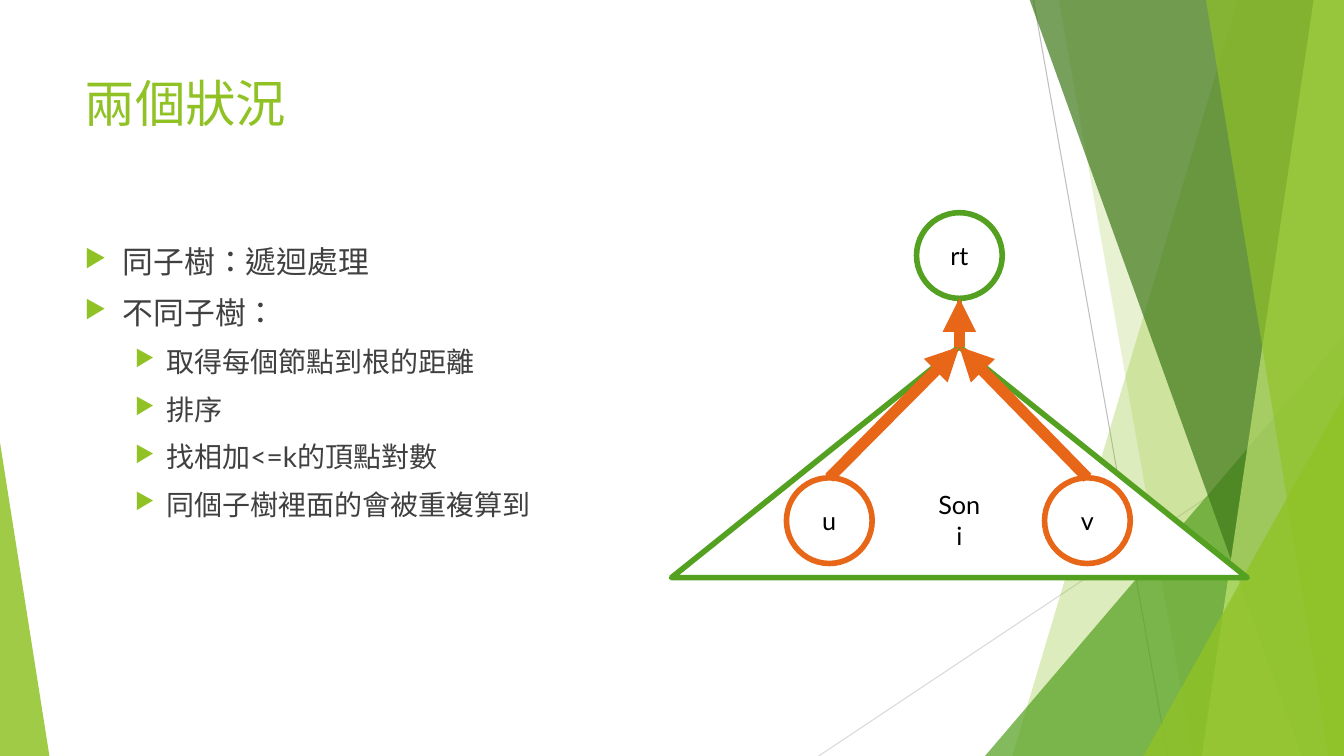
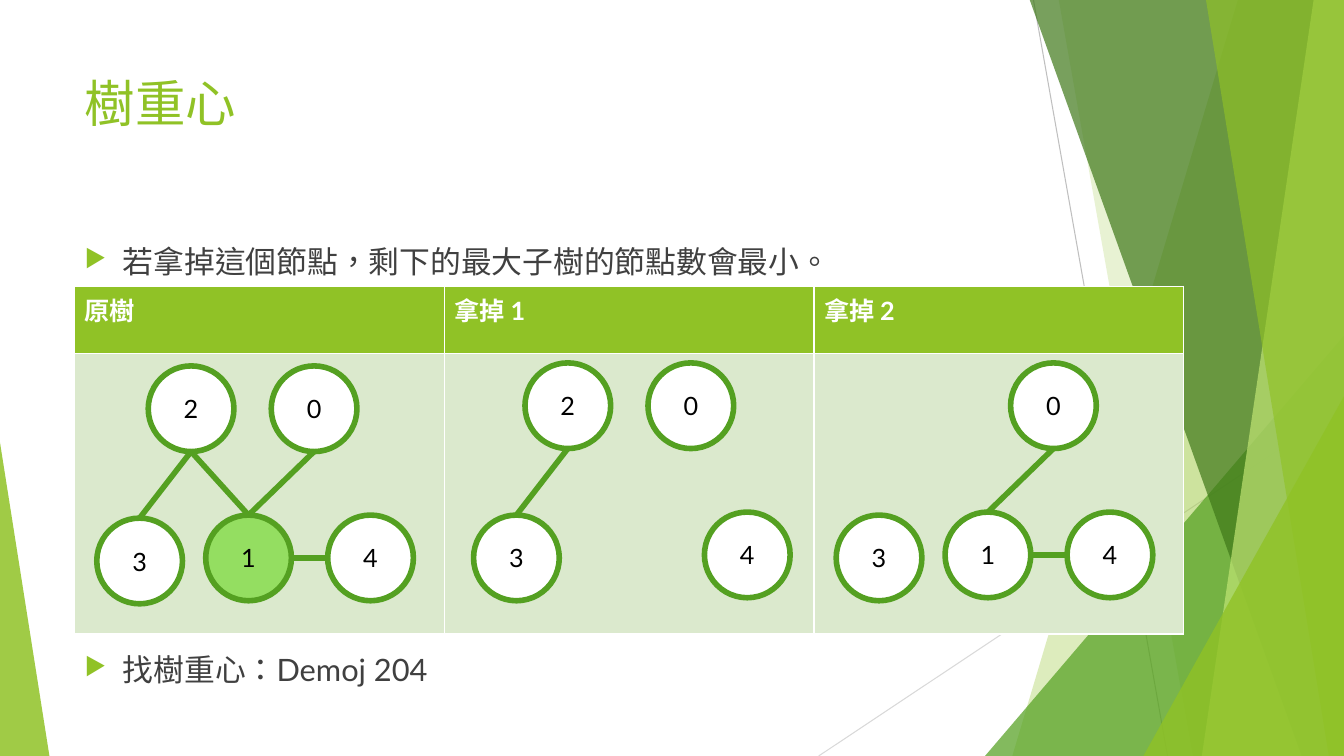
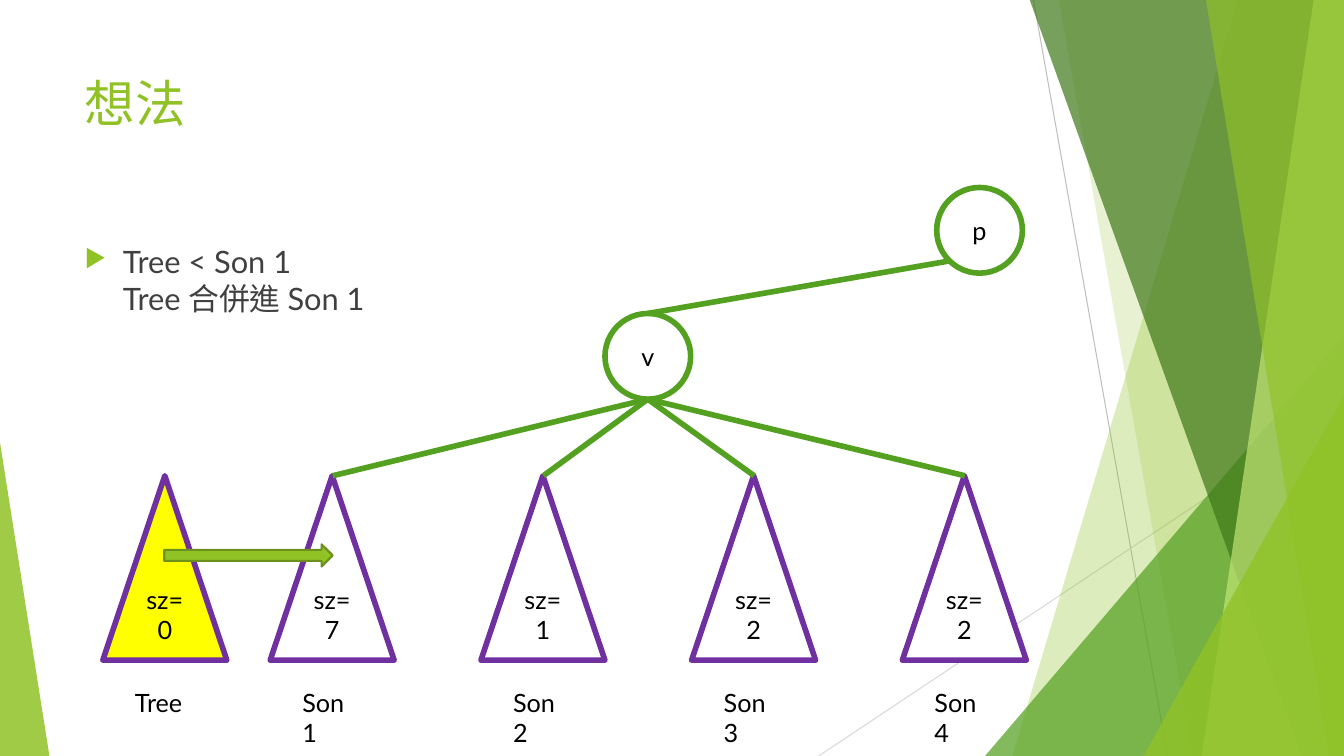
from pptx import Presentation
from pptx.dml.color import RGBColor as RGB
from pptx.enum.lang import MSO_LANGUAGE_ID as LANG
from pptx.enum.shapes import MSO_CONNECTOR as LINK, MSO_SHAPE as SHAPE
from pptx.enum.text import MSO_ANCHOR as ANCHOR, PP_ALIGN as ALIGN
from pptx.oxml.ns import qn
from pptx.util import Inches, Pt
from lxml.etree import SubElement

LIME = RGB(0x90, 0xC2, 0x26)
GREEN = RGB(0x54, 0xA0, 0x21)
DARK = RGB(0x3F, 0x78, 0x19)
PALE = RGB(0xC0, 0xE4, 0x74)
OLIVE = RGB(0x6B, 0x90, 0x1C)
LIGHT = RGB(0x94, 0xDE, 0x61)
TINT = RGB(0xDB, 0xE9, 0xCD)
ORANGE = RGB(0xE7, 0x66, 0x18)
PURPLE = RGB(0x70, 0x30, 0xA0)
YELLOW = RGB(0xFF, 0xFF, 0x00)
WHITE = RGB(0xFF, 0xFF, 0xFF)
BLACK = RGB(0, 0, 0)
GREY = RGB(0x40, 0x40, 0x40)
SILVER = RGB(0xBF, 0xBF, 0xBF)
MIST = RGB(0xD9, 0xD9, 0xD9)

FONT = "Lato"
WIDE, HIGH = 13.33, 7.5
LEFT = 0.74
SIZE = 0.85


def style(para, size, color, bold=False):
    for run in para.runs:
        font = run.font
        font.name, font.size, font.bold = FONT, Pt(size), bold
        font.color.rgb = color
        font.language_id = LANG.TRADITIONAL_CHINESE


def paint(shape, fill, line=None, width=4, alpha=100):
    shape.shadow.inherit = False
    shape.fill.solid()
    shape.fill.fore_color.rgb = fill
    if alpha < 100:
        color = shape.element.spPr.find(qn("a:solidFill"))[0]
        SubElement(color, qn("a:alpha"), val=str(alpha * 1000))
    if line is None:
        shape.line.fill.background()
    else:
        shape.line.color.rgb = line
        shape.line.width = Pt(width)


def form(slide, kind, box, fill, line=None, text="", width=4, alpha=100):
    shape = slide.shapes.add_shape(kind, *map(Inches, box))
    paint(shape, fill, line, width, alpha)
    if text:
        shape.text_frame.text = text
        for para in shape.text_frame.paragraphs:
            para.alignment = ALIGN.CENTER
            style(para, 18, BLACK)
    return shape


def node(slide, x, y, text, line=GREEN, fill=WHITE):
    form(slide, SHAPE.OVAL, (x, y, SIZE, SIZE), fill, line, text)


def join(slide, start, end, color=GREEN, width=4, arrow=False):
    link = slide.shapes.add_connector(LINK.STRAIGHT, *map(Inches, start + end))
    link.line.color.rgb = color
    link.line.width = Pt(width)
    if arrow:
        SubElement(link.line._get_or_add_ln(), qn("a:tailEnd"), type="triangle")
    SubElement(link.element.spPr, qn("a:effectLst"))
    return link


def top(x, y):
    return x + SIZE / 2, y


def base(x, y):
    return x + SIZE / 2, y + SIZE


def band(slide, head, foot, color, alpha):
    pen = slide.shapes.build_freeform(Inches(head), Inches(-0.01))
    spots = [(WIDE, -0.01), (WIDE, HIGH), (foot, HIGH)]
    pen.add_line_segments([(Inches(x), Inches(y)) for x, y in spots])
    shape = pen.convert_to_shape()
    paint(shape, color, alpha=alpha)
    return shape


def wedge(slide, x, y, width, tip, color, alpha):
    box = (x, y, width, HIGH - y)
    shape = form(slide, SHAPE.ISOSCELES_TRIANGLE, box, color, alpha=alpha)
    shape.adjustments[0] = tip
    return shape


def backdrop(slide, layout):
    parts = [
        join(slide, (10.25, 0), (11.58, HIGH), SILVER, 0.75),
        join(slide, (WIDE, 4.03), (8.12, HIGH), MIST, 0.75),
        band(slide, 12.28, 10.04, LIME, 30),
        band(slide, 10.5, 11.83, LIME, 20),
        wedge(slide, 9.77, 3.33, 3.56, 1, GREEN, 72),
        band(slide, 10.21, 12.91, DARK, 70),
        band(slide, 13.03, 11.92, PALE, 70),
        band(slide, 11.96, 13.18, LIME, 65),
        wedge(slide, 11.34, 3.93, 1.99, 1, LIME, 80),
        wedge(slide, 0, 4.39, 0.49, 0, LIME, 85),
    ]
    for part in parts:
        layout.shapes.element.append(part.element)


def heading(slide, text):
    title = slide.shapes.title
    title.left, title.top = Inches(LEFT), Inches(0.67)
    title.width, title.height = Inches(9.4), Inches(1.44)
    frame = title.text_frame
    frame.text = text
    frame.vertical_anchor = ANCHOR.TOP
    frame.paragraphs[0].alignment = ALIGN.LEFT
    style(frame.paragraphs[0], 36, LIME)


def body(slide, width, height, items):
    box = slide.shapes.add_textbox(*map(Inches, (LEFT, 2.36, width, height)))
    frame = box.text_frame
    frame.word_wrap = True
    for i, (level, text, gap) in enumerate(items):
        para = frame.add_paragraph() if i else frame.paragraphs[0]
        para.text = text
        para.level = level
        para.space_before = Pt(gap)
        style(para, 20 if level else 22, GREY)
        props = para._p.get_or_add_pPr()
        props.set("marL", str(Inches(0.81 if level else 0.38)))
        props.set("indent", str(-Inches(0.31 if level else 0.38)))
        SubElement(SubElement(props, qn("a:buClr")), qn("a:srgbClr"), val=str(LIME))
        SubElement(props, qn("a:buSzPct"), val="80000")
        SubElement(props, qn("a:buChar"), char="▶")


def label(slide, x, y, width, text):
    box = slide.shapes.add_textbox(*map(Inches, (x, y, width, 0.4)))
    box.text_frame.word_wrap = True
    box.text_frame.text = text
    style(box.text_frame.paragraphs[0], 18, BLACK)


def paths(slide, x, y, width):
    mid = x + width / 2
    root, peak = (mid - SIZE / 2, y), (mid, y + 1.33)
    node(slide, *root, "rt")
    join(slide, base(*root), peak)
    form(slide, SHAPE.ISOSCELES_TRIANGLE, (x, peak[1], width, 2.29), WHITE, GREEN, "Son\ni")
    for text, shift in (("u", -1.29), ("v", 1.27)):
        leaf = (mid + shift - SIZE / 2, y + 2.63)
        node(slide, *leaf, text, ORANGE)
        join(slide, top(*leaf), peak, ORANGE, 8, True)
    join(slide, peak, base(*root), ORANGE, 8, True)


SPOTS = {"2": (0.73, 0.12), "0": (1.95, 0.12), "3": (0.22, 1.63),
         "1": (1.3, 1.6), "4": (2.51, 1.6)}
EDGES = ["23", "21", "01"]


def graph(slide, x, y, keep, mark=""):
    spots = {key: (x + SPOTS[key][0], y + SPOTS[key][1]) for key in keep}
    for key, spot in spots.items():
        node(slide, *spot, key, fill=LIGHT if key == mark else WHITE)
    for a, b in EDGES:
        if a in keep and b in keep:
            join(slide, base(*spots[a]), top(*spots[b]))
    if "1" in keep and "4" in keep:
        (near, level), far = spots["1"], spots["4"][0]
        mid = level + SIZE / 2
        join(slide, (near + SIZE, mid), (far, mid))


def grid(slide, x, y, width, heads):
    frame = slide.shapes.add_table(2, len(heads), *map(Inches, (x, y, width, 3.45)))
    table = frame.table
    for row, height in zip(table.rows, (0.67, 2.78)):
        row.height = Inches(height)
    for i, text in enumerate(heads):
        for cell, color in ((table.cell(0, i), LIME), (table.cell(1, i), TINT)):
            cell.fill.solid()
            cell.fill.fore_color.rgb = color
        cell = table.cell(0, i)
        cell.text = text
        style(cell.text_frame.paragraphs[0], 18, WHITE, True)


def subtree(slide, x, y, name, size, fill=WHITE):
    form(slide, SHAPE.ISOSCELES_TRIANGLE, (x, y, 1.23, 1.83), fill, PURPLE, f"sz=\n{size}")
    label(slide, x + 0.22, y + 2.05, 0.8 if " " in name else 0.7, name)


def forest(slide, x, y):
    hub, owner = (x + 4.98, y - 1.61), (x + 8.27, y - 2.86)
    node(slide, *hub, "v")
    for i, size in enumerate((7, 1, 2, 2)):
        left = x + 1.66 + 2.09 * i
        subtree(slide, left, y, f"Son {i + 1}", size)
        join(slide, base(*hub), (left + 0.62, y))
    join(slide, top(*hub), (owner[0] + 0.12, owner[1] + 0.73))
    node(slide, *owner, "p")
    subtree(slide, x, y, "Tree", 0, YELLOW)
    form(slide, SHAPE.RIGHT_ARROW, (x + 0.61, y + 0.68, 1.67, 0.22), LIME, OLIVE, width=1.5)


def cases(slide):
    heading(slide, "兩個狀況")
    steps = ["取得每個節點到根的距離", "排序", "找相加<=k的頂點對數", "同個子樹裡面的會被重複算到"]
    items = [(0, "同子樹：遞迴處理", 10), (0, "不同子樹：", 10)]
    body(slide, 4.7, 4.24, items + [(1, step, 10) for step in steps])
    paths(slide, 6.66, 2.11, 5.71)


def center(slide):
    heading(slide, "樹重心")
    body(slide, 9.4, 4.65, [(0, "若拿掉這個節點，剩下的最大子樹的節點數會最小。", 10),
                            (0, "找樹重心：Demoj 204", 265)])
    width = 11
    grid(slide, LEFT, 2.84, width, ["原樹", "拿掉 1", "拿掉 2"])
    step = width / 3
    graph(slide, LEFT, 3.51, "20314", "1")
    graph(slide, LEFT + step + 0.07, 3.48, "2034")
    graph(slide, LEFT + 2 * step, 3.48, "0314")


def merge(slide):
    heading(slide, "想法")
    body(slide, 9.4, 0.93, [(0, "Tree < Son 1\vTree 合併進 Son 1", 10)])
    forest(slide, 1.02, 4.72)


deck = Presentation()
deck.slide_width, deck.slide_height = Inches(WIDE), Inches(HIGH)
layout = deck.slide_layouts[5]
for i, build in enumerate((cases, center, merge)):
    slide = deck.slides.add_slide(layout)
    if i == 0:
        backdrop(slide, layout)
    build(slide)
deck.save("out.pptx")
